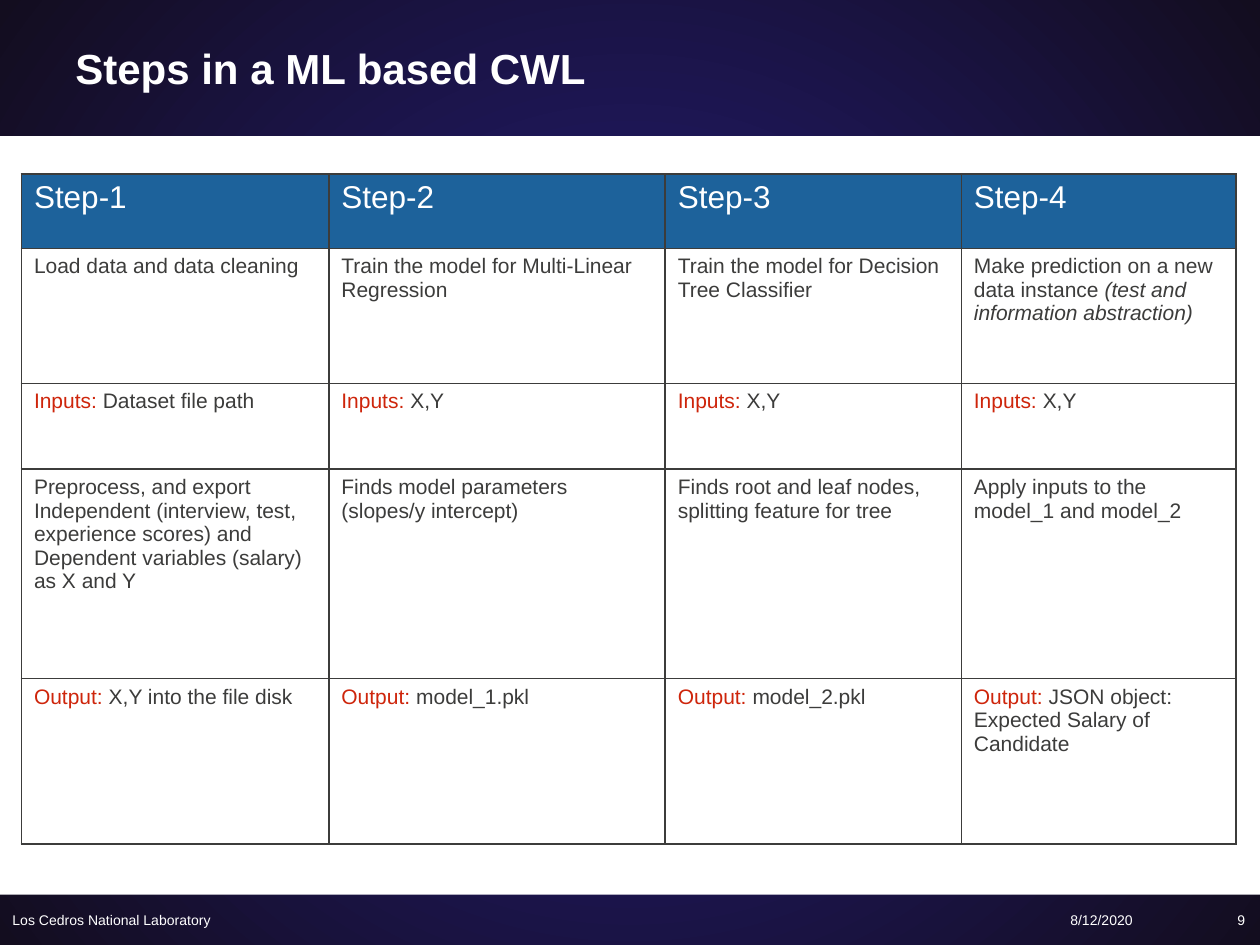
from lxml import etree
from pptx import Presentation
from pptx.dml.color import RGBColor
from pptx.enum.shapes import MSO_SHAPE
from pptx.enum.text import MSO_ANCHOR, PP_ALIGN
from pptx.oxml import parse_xml
from pptx.oxml.ns import nsdecls, qn
from pptx.util import Inches, Pt

RECT = MSO_SHAPE.RECTANGLE
MIDDLE = MSO_ANCHOR.MIDDLE
LEFT, RIGHT = PP_ALIGN.LEFT, PP_ALIGN.RIGHT

WIDE, HIGH = Inches(10), Inches(7.5)
HEAD, FOOT = 1.08 / 7.5, 7.1 / 7.5  # lower edge of header, upper edge of footer
FONT = "Arial"
COLORS = {
    "glow": "251D7D",
    "night": "130D1F",
    "white": "FFFFFF",
    "blue": "1D629B",
    "ink": "3C3C3B",
    "red": "CE250B",
}

# Column and row sizes are weights shared out over the table's box.
COLS = [2.44, 2.67, 2.35, 2.18]
ROWS = [0.59, 1.07, 0.68, 1.66, 1.31]
INPUT, OUTPUT = ("Inputs: ", "red"), ("Output: ", "red")
STEPS = [
    ["Step-1", "Step-2", "Step-3", "Step-4"],
    [
        ["Load data and data cleaning"],
        ["Train the model for Multi-Linear Regression"],
        ["Train the model for Decision Tree Classifier"],
        ["Make prediction on a new data instance ",
         ("(test and information abstraction)", "ink", True)],
    ],
    [[INPUT, text] for text in ("Dataset file path", "X,Y", "X,Y", "X,Y")],
    [
        ["Preprocess, and export Independent (interview, test, experience "
         "scores) and Dependent variables (salary) as X and Y"],
        ["Finds model parameters (slopes/y intercept)"],
        ["Finds root and leaf nodes, splitting feature for tree"],
        ["Apply inputs to the model_1 and model_2"],
    ],
    [[OUTPUT, text] for text in (
        "X,Y into the file disk", "model_1.pkl", "model_2.pkl",
        "JSON object: Expected Salary of Candidate")],
]


def place(box):
    """Turn shares of the slide into lengths."""
    x, y, w, h = box
    return round(x * WIDE), round(y * HIGH), round(w * WIDE), round(h * HIGH)


def color(name):
    return RGBColor.from_string(COLORS[name])


def add_run(para, text, size, tint, bold=False, italic=False):
    run = para.add_run()
    run.text = text
    font = run.font
    font.name, font.size = FONT, Pt(size)
    font.bold, font.italic = bold, italic
    font.color.rgb = color(tint)


def add_label(slide, box, text, size, align=LEFT, bold=False):
    frame = slide.shapes.add_textbox(*place(box)).text_frame
    frame.word_wrap = True
    frame.vertical_anchor = MIDDLE
    para = frame.paragraphs[0]
    para.alignment = align
    add_run(para, text, size, "white", bold)


def add_ground(slide, box):
    """Round glow behind the slide, with a white panel in the box."""
    fill = slide.background.fill
    fill.gradient()
    for stop, name in zip(fill.gradient_stops, ("glow", "night")):
        stop.color.rgb = color(name)
    grad = slide.element.find(".//" + qn("a:gradFill"))
    grad.replace(grad.find(qn("a:lin")), parse_xml(
        f'<a:path {nsdecls("a")} path="circle">'
        '<a:fillToRect l="50000" t="50000" r="50000" b="50000"/></a:path>'))
    panel = slide.shapes.add_shape(RECT, *place(box))
    panel.shadow.inherit = False
    panel.fill.solid()
    panel.fill.fore_color.rgb = color("white")
    panel.line.fill.background()


def add_edges(cell):
    props = cell._tc.get_or_add_tcPr()
    for spot, side in enumerate(("lnL", "lnR", "lnT", "lnB")):
        line = etree.Element(qn("a:" + side), w=str(Pt(1)))
        fill = etree.SubElement(line, qn("a:solidFill"))
        etree.SubElement(fill, qn("a:srgbClr"), val=COLORS["ink"])
        props.insert(spot, line)


def fill_cell(cell, parts, head):
    if head:
        cell.fill.solid()
        cell.fill.fore_color.rgb = color("blue")
        parts = [(parts, "white")]
    else:
        cell.fill.background()
    para = cell.text_frame.paragraphs[0]
    for part in parts:
        text, tint, *slant = (part, "ink") if isinstance(part, str) else part
        add_run(para, text, 18 if head else 12, tint, italic=bool(slant))
    add_edges(cell)


def add_steps(slide, box):
    left, top, width, height = place(box)
    table = slide.shapes.add_table(
        len(ROWS), len(COLS), left, top, width, height).table
    table.first_row = table.horz_banding = False
    for col, part in zip(table.columns, COLS):
        col.width = round(width * part / sum(COLS))
    for r, (row, part) in enumerate(zip(table.rows, ROWS)):
        row.height = round(height * part / sum(ROWS))
        for cell, parts in zip(row.cells, STEPS[r]):
            fill_cell(cell, parts, r == 0)


def add_footer(slide, box):
    x, y, w, h = box
    for start, share, text, align in (
        (0, 0.362, "Los Cedros National Laboratory", LEFT),
        (0.676, 0.233, "8/12/2020", RIGHT),
        (0.919, 0.079, "9", RIGHT),
    ):
        add_label(slide, (x + start * w, y, share * w, h), text, 8, align)


def main():
    deck = Presentation()
    deck.slide_width, deck.slide_height = WIDE, HIGH
    slide = deck.slides.add_slide(deck.slide_layouts[6])
    add_ground(slide, (0, HEAD, 1, FOOT - HEAD))
    add_label(slide, (0.05, 0, 0.9, HEAD), "Steps in a ML based CWL", 24, bold=True)
    add_steps(slide, (0.017, 1.38 / 7.5, 0.964, 5.32 / 7.5))
    add_footer(slide, (0, FOOT, 1, 1 - FOOT))
    deck.save("out.pptx")


if __name__ == "__main__":
    main()
